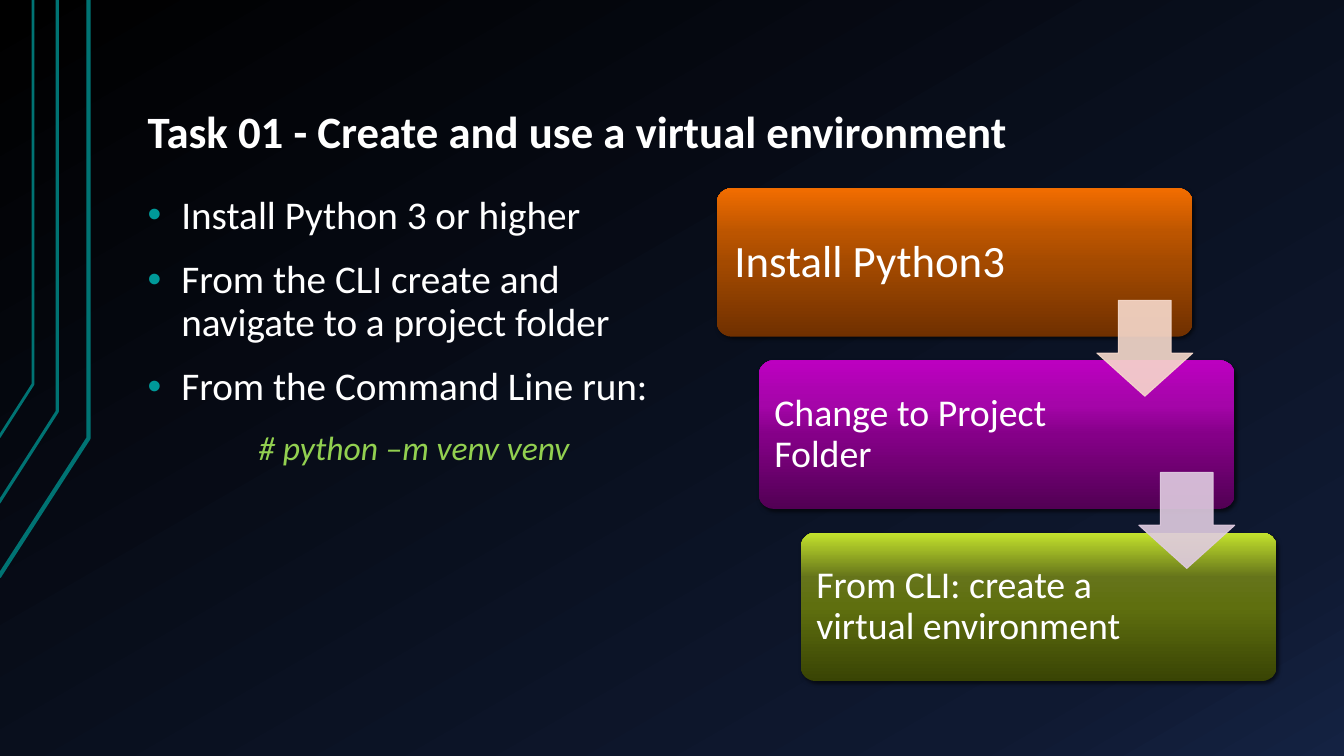
from dataclasses import dataclass
from lxml.etree import SubElement
from pptx import Presentation
from pptx.dml.color import RGBColor
from pptx.enum.shapes import MSO_SHAPE
from pptx.enum.text import MSO_ANCHOR, PP_ALIGN
from pptx.oxml.ns import qn
from pptx.util import Pt


@dataclass(frozen=True)
class Theme:
    """Colours, font and type sizes of the deck."""
    font: str = "Calibri"
    text: str = "FFFFFF"
    command: str = "92D050"
    bullet: str = "009999"
    trace: str = "007373"
    shadow: str = "000000"
    backdrop: tuple = ((0, "000000"), (85, "0F1931"), (100, "142242"))
    orange: tuple = ((0, "703000"), (50, "A44A00"), (70, "BC5500"), (100, "F26D00"))
    purple: tuple = ((0, "520054"), (50, "850088"), (70, "A505A9"), (100, "BC00C0"))
    green: tuple = ((0, "394404"), (50, "5F6F0F"), (70, "65741A"), (100, "C4E32D"))
    peach: str = "F7DACC"
    lilac: str = "E0CCE1"
    title_size: float = 32
    body_size: float = 28
    command_size: float = 24
    first_step_size: float = 32
    step_size: float = 27


THEME = Theme()


def add_node(parent, tag, **attributes):
    """Append a DrawingML element and return it."""
    return SubElement(parent, qn(tag), {name: str(value) for name, value in attributes.items()})


def paint_gradient(fill, owner, stops, angle):
    """Fill with a linear gradient at a clockwise angle."""
    fill.gradient()
    gradient = next(owner.iter(qn("a:gradFill")))
    for child in list(gradient):
        gradient.remove(child)
    stop_list = add_node(gradient, "a:gsLst")
    for percent, color in stops:
        stop = add_node(stop_list, "a:gs", pos=percent * 1000)
        add_node(stop, "a:srgbClr", val=color)
    add_node(gradient, "a:lin", ang=angle * 60000, scaled=0)


def add_shadow(shape):
    """Give a shape a soft shadow to its lower right."""
    shape.shadow.inherit = False
    effects = shape.element.spPr.find(qn("a:effectLst"))
    outer = add_node(effects, "a:outerShdw", blurRad=Pt(3), dist=Pt(2), dir=45 * 60000, algn="ctr", rotWithShape=0)
    color = add_node(outer, "a:srgbClr", val=THEME.shadow)
    add_node(color, "a:alpha", val=60000)


def set_insets(frame, left, top, right, bottom):
    """Wrap a text frame and set its margins."""
    frame.word_wrap = True
    frame.margin_left, frame.margin_top = Pt(left), Pt(top)
    frame.margin_right, frame.margin_bottom = Pt(right), Pt(bottom)


def add_span(para, text, size, color=THEME.text, bold=False, italic=False):
    """Add one styled run to a tightly spaced paragraph."""
    para.line_spacing = 0.9
    span = para.add_run()
    span.text = text
    span.font.name, span.font.size = THEME.font, Pt(size)
    span.font.bold, span.font.italic = bold, italic
    span.font.color.rgb = RGBColor.from_string(color)


def add_text_box(page, box):
    """Add a wrapped text box and return its frame."""
    frame = page.shapes.add_textbox(*(Pt(length) for length in box)).text_frame
    set_insets(frame, 9.5, 5, 9.5, 5)
    return frame


def add_traces(page, box):
    """Draw the bent lines that run down the left edge."""
    left, top, width, height = box
    for reach, bend, end, weight in ((1, 313, height, 3), (0.65, 294, 359, 2.25), (0.38, 274.5, 312.5, 2)):
        right = left + width * reach
        builder = page.shapes.build_freeform(Pt(left), Pt(top + end))
        builder.add_line_segments([(Pt(right), Pt(top + bend)), (Pt(right), Pt(top))], close=False)
        trace = builder.convert_to_shape()
        trace.shadow.inherit = False
        trace.fill.background()
        trace.line.color.rgb = RGBColor.from_string(THEME.trace)
        trace.line.width = Pt(weight)


def add_title(page, box, text):
    """Place the heading at the bottom of its box."""
    frame = add_text_box(page, box)
    frame.vertical_anchor = MSO_ANCHOR.BOTTOM
    add_span(frame.paragraphs[0], text, THEME.title_size, bold=True)


def add_instructions(page, box, items, command):
    """Place the bulleted instructions and the centred command."""
    frame = add_text_box(page, box)
    for index, item in enumerate(items):
        para = frame.add_paragraph() if index else frame.paragraphs[0]
        para.space_before = Pt(16)
        add_span(para, item, THEME.body_size)
        properties = para._p.get_or_add_pPr()
        properties.set("marL", str(Pt(24)))
        properties.set("indent", str(-Pt(24)))
        add_node(add_node(properties, "a:buClr"), "a:srgbClr", val=THEME.bullet)
        add_node(properties, "a:buFont", typeface="Arial")
        add_node(properties, "a:buChar", char="•")
    para = frame.add_paragraph()
    para.alignment = PP_ALIGN.CENTER
    para.space_before = Pt(16)
    add_span(para, command, THEME.command_size, THEME.command, italic=True)


def add_step(page, box, text, stops, size, inset, right_inset):
    """Draw one step card with its label."""
    card = page.shapes.add_shape(MSO_SHAPE.ROUNDED_RECTANGLE, *(Pt(length) for length in box))
    card.adjustments[0] = 0.1
    paint_gradient(card.fill, card.element.spPr, stops, 270)
    card.line.fill.background()
    add_shadow(card)
    frame = card.text_frame
    set_insets(frame, inset, inset, right_inset, inset)
    frame.vertical_anchor = MSO_ANCHOR.MIDDLE
    para = frame.paragraphs[0]
    para.alignment = PP_ALIGN.LEFT
    add_span(para, text, size)


def add_step_arrow(page, box, color):
    """Draw a translucent arrow leading to the next step."""
    arrow = page.shapes.add_shape(MSO_SHAPE.DOWN_ARROW, *(Pt(length) for length in box))
    arrow.adjustments[0], arrow.adjustments[1] = 0.55, 0.45
    arrow.shadow.inherit = False
    arrow.fill.solid()
    arrow.line.width = Pt(0.75)
    for color_format in (arrow.fill.fore_color, arrow.line.color):
        color_format.rgb = RGBColor.from_string(color)
    for node in arrow.element.spPr.iter(qn("a:srgbClr")):
        add_node(node, "a:alpha", val=90000)


def add_staircase(page, box, steps, arrow_colors):
    """Lay the steps out as a descending staircase joined by arrows."""
    left, top, width, height = box
    card_width, card_height, arrow_size = 340, 106, 68.5
    shift = (width - card_width) / (len(steps) - 1)
    drop = (height - card_height) / (len(steps) - 1)
    for index, step in enumerate(steps):
        add_step(page, (left + index * shift, top + index * drop, card_width, card_height), *step)
    for index, color in enumerate(arrow_colors):
        arrow_left = left + index * shift + card_width - arrow_size
        add_step_arrow(page, (arrow_left, top + index * drop + 80, arrow_size, arrow_size), color)


def add_task_page(deck):
    """Build the virtual environment task page."""
    page = deck.slides.add_slide(deck.slide_layouts[6])
    paint_gradient(page.background.fill, page.element, THEME.backdrop, 60)
    add_traces(page, (-0.75, 0, 64, 412))
    add_title(page, (96, 21.5, 816, 96.5), "Task 01 - Create and use a virtual environment")
    add_instructions(page, (96, 134.5, 399.5, 351.5), (
        "Install Python 3 or higher",
        "From the CLI create and navigate to a project folder",
        "From the Command Line run:",
    ), "# python –m venv venv")
    add_staircase(page, (512, 134.5, 400, 352), (
        ("Install Python3", THEME.orange, THEME.first_step_size, 9.5, 117),
        ("Change to Project Folder", THEME.purple, THEME.step_size, 8, 106),
        ("From CLI: create a virtual environment", THEME.green, THEME.step_size, 8, 106),
    ), (THEME.peach, THEME.lilac))


def main():
    """Create and save the deck."""
    deck = Presentation()
    deck.slide_width, deck.slide_height = Pt(960), Pt(540)
    add_task_page(deck)
    deck.save("out.pptx")


if __name__ == "__main__":
    main()
